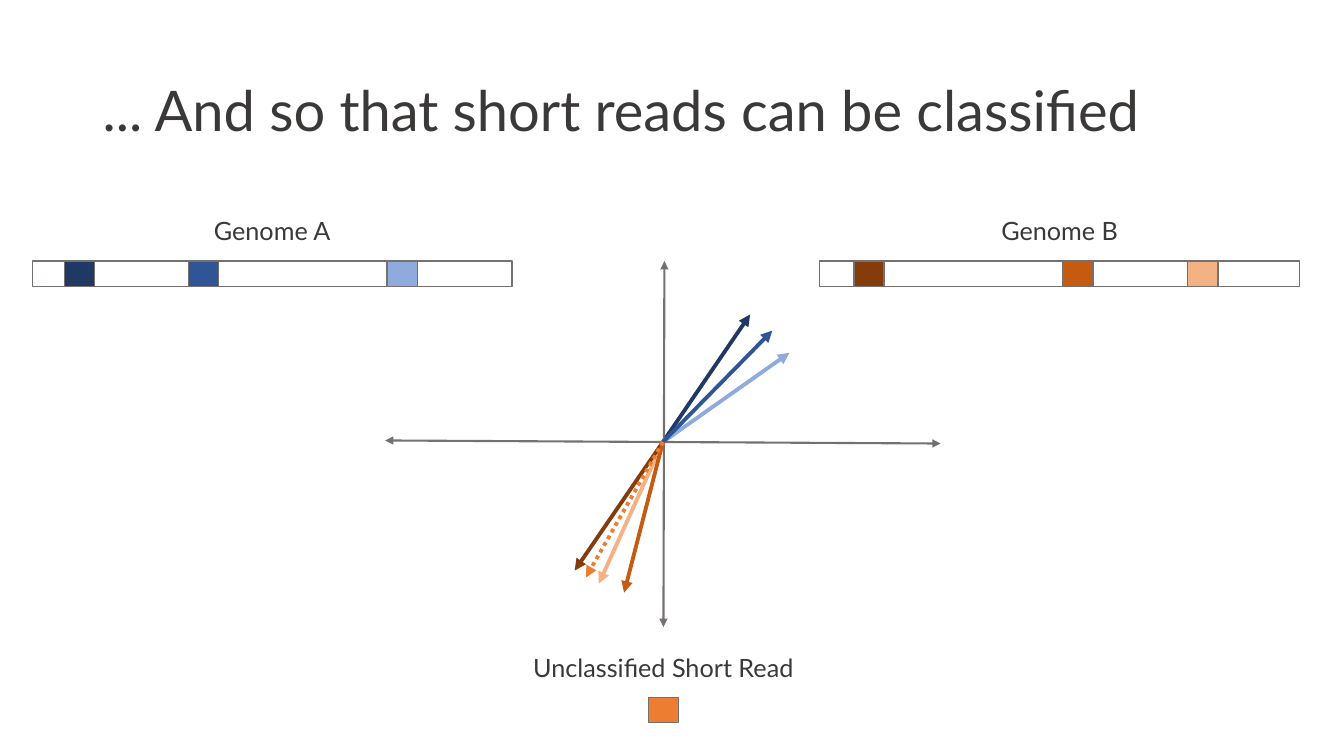
"""Build a slide showing how short reads are classified by their vectors."""
from lxml import etree
from pptx import Presentation
from pptx.dml.color import RGBColor
from pptx.enum.dml import MSO_LINE
from pptx.enum.shapes import MSO_CONNECTOR, MSO_SHAPE
from pptx.enum.text import MSO_ANCHOR, PP_ALIGN
from pptx.oxml.ns import qn
from pptx.util import Inches, Pt

INK = RGBColor(0x3B, 0x38, 0x38)
GRAY = RGBColor(0x76, 0x71, 0x71)
NAVY = RGBColor(0x20, 0x38, 0x64)
BLUE = RGBColor(0x2F, 0x55, 0x97)
SKY = RGBColor(0x8F, 0xAA, 0xDC)
BROWN = RGBColor(0x84, 0x3C, 0x0B)
RUST = RGBColor(0xC5, 0x5A, 0x11)
PEACH = RGBColor(0xF4, 0xB1, 0x83)
ORANGE = RGBColor(0xED, 0x7D, 0x31)

TITLE = "... And so that short reads can be classified"
GENOMES = [
    ("Genome A", 0.32, [(0.64, NAVY), (1.87, BLUE), (3.84, SKY)]),
    ("Genome B", 8.13, [(8.47, BROWN), (10.54, RUST), (11.78, PEACH)]),
]
READ = ("Unclassified Short Read", 6.43, ORANGE)
ORIGIN = (6.575, 4.385)
VECTORS_BEHIND = [
    ((7.44, 3.12), NAVY),
    ((7.83, 3.5), SKY),
    ((5.94, 5.79), PEACH),
    ((5.7, 5.66), BROWN),
]
AXES = [((3.82, 4.37), (9.33, 4.4)), ((6.59, 2.59), (6.58, 6.22))]
VECTORS_FRONT = [((7.66, 3.28), BLUE), ((6.19, 5.88), RUST)]
READ_VECTOR = (5.81, 5.73)

BAR_WIDTH, BAR_HEIGHT, SEGMENT_WIDTH = 4.76, 0.25, 0.3
BAR_TOP, READ_TOP = 2.59, 6.92
CAPTION_WIDTH, CAPTION_HEIGHT, CAPTION_RISE = 3.23, 0.4, 0.5

presentation = Presentation()
presentation.slide_width, presentation.slide_height = Inches(13.33), Inches(7.5)
slide = presentation.slides.add_slide(presentation.slide_layouts[6])


def add_text(text, left, top, width, height, size=18, align=PP_ALIGN.CENTER,
             anchor=MSO_ANCHOR.TOP, spacing=None):
    box = slide.shapes.add_textbox(*map(Inches, (left, top, width, height)))
    frame = box.text_frame
    frame.word_wrap = True
    frame.vertical_anchor = anchor
    paragraph = frame.paragraphs[0]
    paragraph.alignment = align
    paragraph.line_spacing = spacing
    run = paragraph.add_run()
    run.text = text
    run.font.name, run.font.size = "Lato", Pt(size)
    run.font.color.rgb = INK


def add_caption(text, center, strip_top):
    add_text(text, center - CAPTION_WIDTH / 2, strip_top - CAPTION_RISE,
             CAPTION_WIDTH, CAPTION_HEIGHT)


def add_strip(left, top, width, color=None):
    strip = slide.shapes.add_shape(
        MSO_SHAPE.RECTANGLE, *map(Inches, (left, top, width, BAR_HEIGHT)))
    strip.shadow.inherit = False
    if color is None:
        strip.fill.background()
    else:
        strip.fill.solid()
        strip.fill.fore_color.rgb = color
    strip.line.color.rgb, strip.line.width = GRAY, Pt(1)


def add_arrow(start, end, color, width=2.75, dash=None, ends=("tailEnd",)):
    arrow = slide.shapes.add_connector(
        MSO_CONNECTOR.STRAIGHT, *map(Inches, (*start, *end)))
    arrow.line.color.rgb, arrow.line.width = color, Pt(width)
    if dash is not None:
        arrow.line.dash_style = dash
    properties = arrow.element.spPr
    for end_name in ends:
        etree.SubElement(properties.find(qn("a:ln")), qn(f"a:{end_name}"), type="triangle")
    etree.SubElement(properties, qn("a:effectLst"))


add_text(TITLE, 0.92, 0.4, 11.5, 1.45, size=40, align=PP_ALIGN.LEFT,
         anchor=MSO_ANCHOR.MIDDLE, spacing=0.9)

for genome, bar_left, segments in GENOMES:
    add_caption(genome, bar_left + BAR_WIDTH / 2, BAR_TOP)
    add_strip(bar_left, BAR_TOP, BAR_WIDTH)
    for segment_left, segment_color in segments:
        add_strip(segment_left, BAR_TOP, SEGMENT_WIDTH, segment_color)

read_name, read_left, read_color = READ
add_caption(read_name, read_left + SEGMENT_WIDTH / 2, READ_TOP)
add_strip(read_left, READ_TOP, SEGMENT_WIDTH, read_color)

for tip, vector_color in VECTORS_BEHIND:
    add_arrow(ORIGIN, tip, vector_color)
for axis_start, axis_end in AXES:
    add_arrow(axis_start, axis_end, GRAY, width=1.5, ends=("headEnd", "tailEnd"))
for tip, vector_color in VECTORS_FRONT:
    add_arrow(ORIGIN, tip, vector_color)
add_arrow(ORIGIN, READ_VECTOR, read_color, dash=MSO_LINE.ROUND_DOT)

presentation.save("out.pptx")
